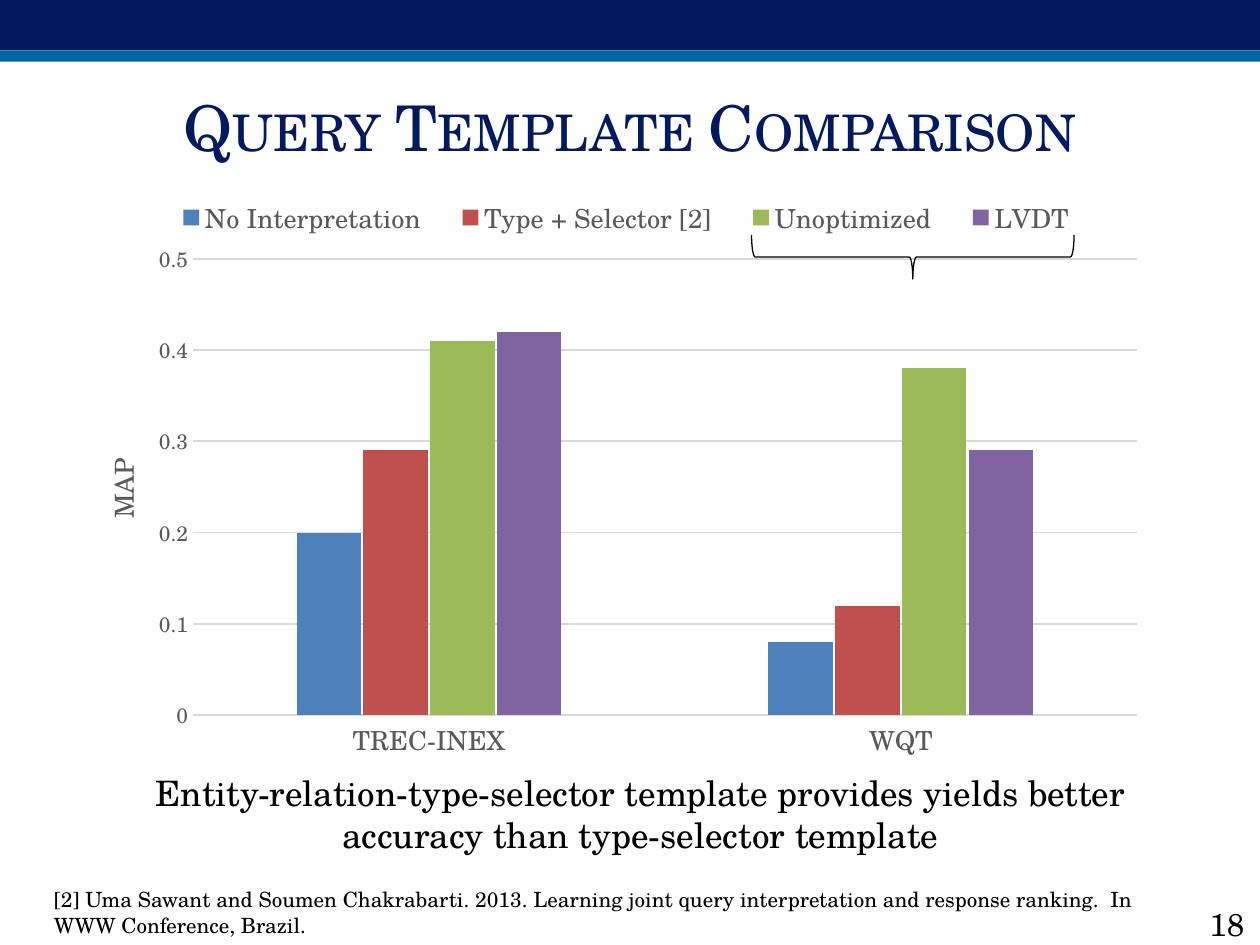
from dataclasses import dataclass

from pptx import Presentation
from pptx.chart.data import CategoryChartData
from pptx.dml.color import RGBColor
from pptx.enum.chart import XL_CHART_TYPE as CHART, XL_LEGEND_POSITION as LEGEND, XL_TICK_MARK as TICK
from pptx.enum.shapes import MSO_SHAPE as SHAPE
from pptx.enum.text import MSO_ANCHOR as ANCHOR, PP_ALIGN as ALIGN
from pptx.oxml import parse_xml
from pptx.oxml.ns import nsdecls, qn
from pptx.util import Inches, Pt


@dataclass(frozen=True)
class Theme:
    font: str = "TeX Gyre Schola"
    navy: str = "011A5F"
    blue: str = "0165A3"
    ink: str = "000000"
    grey: str = "595959"
    rule: str = "D9D9D9"
    series: tuple = ("4F81BD", "C0504D", "9BBB59", "8064A2")
    title: int = 36
    body: int = 20
    number: int = 18
    label: int = 15
    small: int = 12


def set_layout(parent, after, x, y, w=None, h=None, inner=False):
    """Give a chart part a fixed place, in shares of the chart's size."""
    for old in parent.findall(qn("c:layout")):
        parent.remove(old)
    parts = ['<c:layoutTarget val="inner"/>'] if inner else []
    parts += [f'<c:{axis}Mode val="edge"/>' for axis in "xy"]
    sizes = {"x": x, "y": y, "w": w, "h": h}
    parts += [f'<c:{k} val="{v}"/>' for k, v in sizes.items() if v is not None]
    layout = parse_xml(f'<c:layout {nsdecls("c")}><c:manualLayout>'
                       f'{"".join(parts)}</c:manualLayout></c:layout>')
    if after:
        parent.find(qn(after)).addnext(layout)
    else:
        parent.insert(0, layout)


class Deck:
    COLS, ROWS = 100, 75

    def __init__(self, theme):
        self.t = theme
        self.prs = Presentation()
        self.prs.slide_width, self.prs.slide_height = Inches(10), Inches(7.5)
        self.s = self.prs.slides.add_slide(self.prs.slide_layouts[5])

    def box(self, col, row, cols, rows):
        dx = self.prs.slide_width / self.COLS
        dy = self.prs.slide_height / self.ROWS
        return int(col * dx), int(row * dy), int(cols * dx), int(rows * dy)

    def style(self, font, size, color):
        font.name, font.size, font.bold = self.t.font, Pt(size), False
        font.color.rgb = RGBColor.from_string(color)

    def title(self, text, *cells):
        sp = self.s.shapes.title
        sp.left, sp.top, sp.width, sp.height = self.box(*cells)
        tf = sp.text_frame
        tf.text = text
        tf.vertical_anchor = ANCHOR.MIDDLE
        p = tf.paragraphs[0]
        p.alignment = ALIGN.CENTER
        r = p.runs[0]
        self.style(r.font, self.t.title, self.t.navy)
        r.font._element.set("cap", "small")

    def text(self, text, size, *cells, align=ALIGN.LEFT):
        tf = self.s.shapes.add_textbox(*self.box(*cells)).text_frame
        tf.word_wrap = True
        tf.text = text
        p = tf.paragraphs[0]
        p.alignment = align
        self.style(p.runs[0].font, size, self.t.ink)

    def band(self, color, *cells):
        sp = self.s.shapes.add_shape(SHAPE.RECTANGLE, *self.box(*cells))
        sp.shadow.inherit = False
        sp.fill.solid()
        sp.fill.fore_color.rgb = RGBColor.from_string(color)
        sp.line.fill.background()

    def brace(self, *cells):
        sp = self.s.shapes.add_shape(SHAPE.LEFT_BRACE, *self.box(*cells))
        sp.rotation = 270
        sp.shadow.inherit = False
        sp.fill.background()
        sp.line.color.rgb = RGBColor.from_string(self.t.ink)
        sp.line.width = Pt(0.75)

    def rule(self, line, width):
        line.color.rgb = RGBColor.from_string(self.t.rule)
        line.width = Pt(width)

    def column_chart(self, cats, series, axis_name, *cells):
        t = self.t
        data = CategoryChartData()
        data.categories = cats
        for name, values in series.items():
            data.add_series(name, values)
        chart = self.s.shapes.add_chart(
            CHART.COLUMN_CLUSTERED, *self.box(*cells), data).chart
        self.style(chart.font, 10, t.ink)
        chart.has_title = False

        # Columns
        plot = chart.plots[0]
        plot.gap_width, plot.overlap, plot.vary_by_categories = 322, -4, False
        for ser, color in zip(plot.series, t.series):
            ser.format.fill.solid()
            ser.format.fill.fore_color.rgb = RGBColor.from_string(color)
        plot_area = chart._chartSpace.chart.plotArea
        set_layout(plot_area, None, 0.119, 0.14, 0.863, 0.776, inner=True)

        # Axes
        cat, val = chart.category_axis, chart.value_axis
        for axis, size in ((cat, t.label), (val, t.small)):
            axis.major_tick_mark = axis.minor_tick_mark = TICK.NONE
            self.style(axis.tick_labels.font, size, t.grey)
        self.rule(cat.format.line, 0.75)
        val.format.line.fill.background()
        val.minimum_scale, val.maximum_scale, val.major_unit = 0, 0.5, 0.1
        val.tick_labels.number_format = "General"
        val.tick_labels.number_format_is_linked = False
        self.rule(val.major_gridlines.format.line, 1)
        tf = val.axis_title.text_frame
        tf.text = axis_name
        self.style(tf.paragraphs[0].runs[0].font, t.label, t.grey)
        body = tf._txBody.find(qn("a:bodyPr"))
        body.set("rot", "-5400000")
        body.set("vert", "horz")
        set_layout(val.axis_title._element, "c:tx", 0.03, 0.47)

        # Legend above the columns
        chart.has_legend = True
        legend = chart.legend
        legend.position = LEGEND.BOTTOM
        legend.include_in_layout = True
        self.style(legend.font, t.label, t.grey)
        set_layout(legend._element, "c:legendPos", 0.08, 0.03, 0.87, 0.08)


def main():
    t = Theme()
    deck = Deck(t)

    # Header bands and page number
    deck.band(t.navy, 0, 0, 100, 4)
    deck.band(t.blue, 0, 4, 100, 0.9)
    deck.text("18", t.number, 95, 71.3, 5, 3.7)

    # Title and chart
    deck.title("Query Template Comparison", 5, 5.2, 90, 9.6)
    deck.column_chart(
        ("TREC-INEX", "WQT"),
        {"No Interpretation": (0.2, 0.08),
         "Type + Selector [2]": (0.29, 0.12),
         "Unoptimized": (0.41, 0.38),
         "LVDT": (0.42, 0.29)},
        "MAP", 5, 14, 86.8, 46.7)

    # Conclusion and reference
    deck.text("Entity-relation-type-selector template provides yields better "
              "accuracy than type-selector template",
              t.body, 7.5, 60.7, 86.7, 7.7, align=ALIGN.CENTER)
    deck.text("[2] Uma Sawant and Soumen Chakrabarti. 2013. Learning joint query "
              "interpretation and response ranking.  In WWW Conference, Brazil.",
              t.small, 3.3, 69.9, 88.5, 5)

    # Brace under the last two legend entries
    deck.brace(70.7, 7.6, 3.5, 25.6)

    deck.prs.save("out.pptx")


if __name__ == "__main__":
    main()
